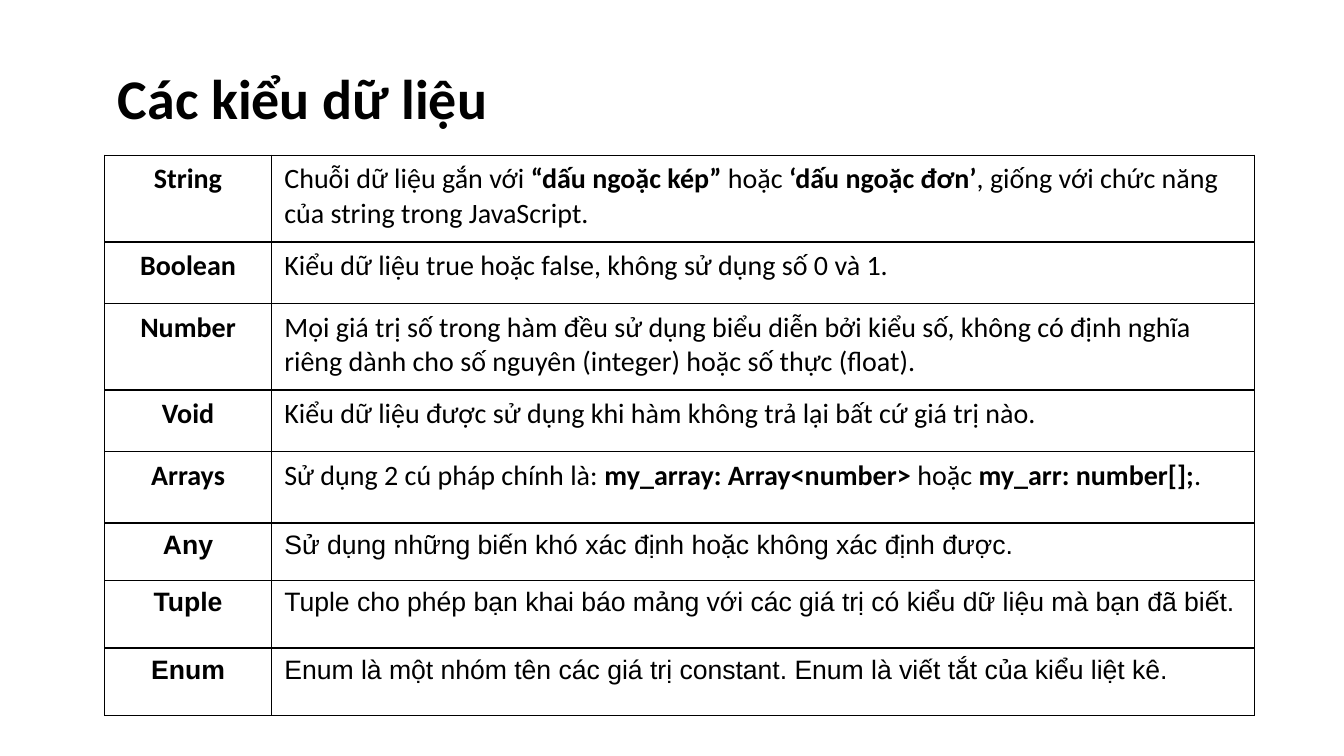
from lxml import etree
from pptx import Presentation
from pptx.dml.color import RGBColor
from pptx.enum.text import MSO_ANCHOR, PP_ALIGN
from pptx.oxml.ns import qn
from pptx.util import Inches, Pt

BLACK, WHITE = "000000", "FFFFFF"


def color(hex_string):
    return RGBColor.from_string(hex_string)


def add_borders(cell, hex_string, width):
    properties = cell._tc.get_or_add_tcPr()
    # Borders must stand before the fill
    for index, side in enumerate(("a:lnL", "a:lnR", "a:lnT", "a:lnB")):
        line = etree.Element(qn(side), w=str(width))
        fill = etree.SubElement(line, qn("a:solidFill"))
        etree.SubElement(fill, qn("a:srgbClr"), val=hex_string)
        properties.insert(index, line)


presentation = Presentation()
presentation.slide_width = Inches(13.33)
presentation.slide_height = Inches(7.5)
slide = presentation.slides.add_slide(presentation.slide_layouts[6])

# Title
title = slide.shapes.add_textbox(Inches(1.04), Inches(0.4), Inches(6.08), Inches(1.03))
frame = title.text_frame
frame.word_wrap = True
frame.vertical_anchor = MSO_ANCHOR.MIDDLE
frame.margin_left = frame.margin_right = Inches(0.13)
frame.margin_top = frame.margin_bottom = Inches(0.13)
paragraph = frame.paragraphs[0]
paragraph.text = "Các kiểu dữ liệu"
paragraph.line_spacing = 1.15
paragraph.font.name = "Calibri"
paragraph.font.size = Pt(40)
paragraph.font.bold = True
paragraph.font.color.rgb = color(BLACK)

# Type name, description (** switches bold on and off), row height, font, size
data_types = [
    ("String", "Chuỗi dữ liệu gắn với **“dấu ngoặc kép”** hoặc **‘dấu ngoặc đơn’**, "
     "giống với chức năng của string trong JavaScript.", 0.86, "Calibri", 20),
    ("Boolean", "Kiểu dữ liệu true hoặc false, không sử dụng số 0 và 1.",
     0.61, "Calibri", 20),
    ("Number", "Mọi giá trị số trong hàm đều sử dụng biểu diễn bởi kiểu số, không có "
     "định nghĩa riêng dành cho số nguyên (integer) hoặc số thực (float).",
     0.86, "Calibri", 20),
    ("Void", "Kiểu dữ liệu được sử dụng khi hàm không trả lại bất cứ giá trị nào.",
     0.61, "Calibri", 20),
    ("Arrays", "Sử dụng 2 cú pháp chính là: **my_array: Array<number> **hoặc "
     "**my_arr: number[];**.", 0.71, "Calibri", 20),
    ("Any", "Sử dụng những biến khó xác định hoặc không xác định được.",
     0.57, "Arial", 19),
    ("Tuple", "Tuple cho phép bạn khai báo mảng với các giá trị có kiểu dữ liệu mà "
     "bạn đã biết.", 0.67, "Arial", 19),
    ("Enum", "Enum là một nhóm tên các giá trị constant. Enum là viết tắt của kiểu "
     "liệt kê.", 0.67, "Arial", 19),
]

# Table
table = slide.shapes.add_table(len(data_types), 2, Inches(1.04), Inches(1.54),
                               Inches(11.4), Inches(5.56)).table
table.first_row = table.horz_banding = False
table.columns[0].width = Inches(1.65)
table.columns[1].width = Inches(9.75)

for row, (name, description, height, font_name, size) in enumerate(data_types):
    table.rows[row].height = Inches(height)
    for column, text in enumerate((f"**{name}**", description)):
        cell = table.cell(row, column)
        cell.margin_left = cell.margin_right = Inches(0.13)
        cell.margin_top = cell.margin_bottom = Inches(0.07)
        cell.fill.solid()
        cell.fill.fore_color.rgb = color(WHITE)
        add_borders(cell, BLACK, Pt(1))
        paragraph = cell.text_frame.paragraphs[0]
        paragraph.alignment = PP_ALIGN.LEFT if column else PP_ALIGN.CENTER
        paragraph.font.name = font_name
        paragraph.font.size = Pt(size)
        paragraph.font.color.rgb = color(BLACK)
        for index, part in enumerate(text.split("**")):
            if part:
                run = paragraph.add_run()
                run.text = part
                run.font.bold = index % 2 == 1

presentation.save("out.pptx")
